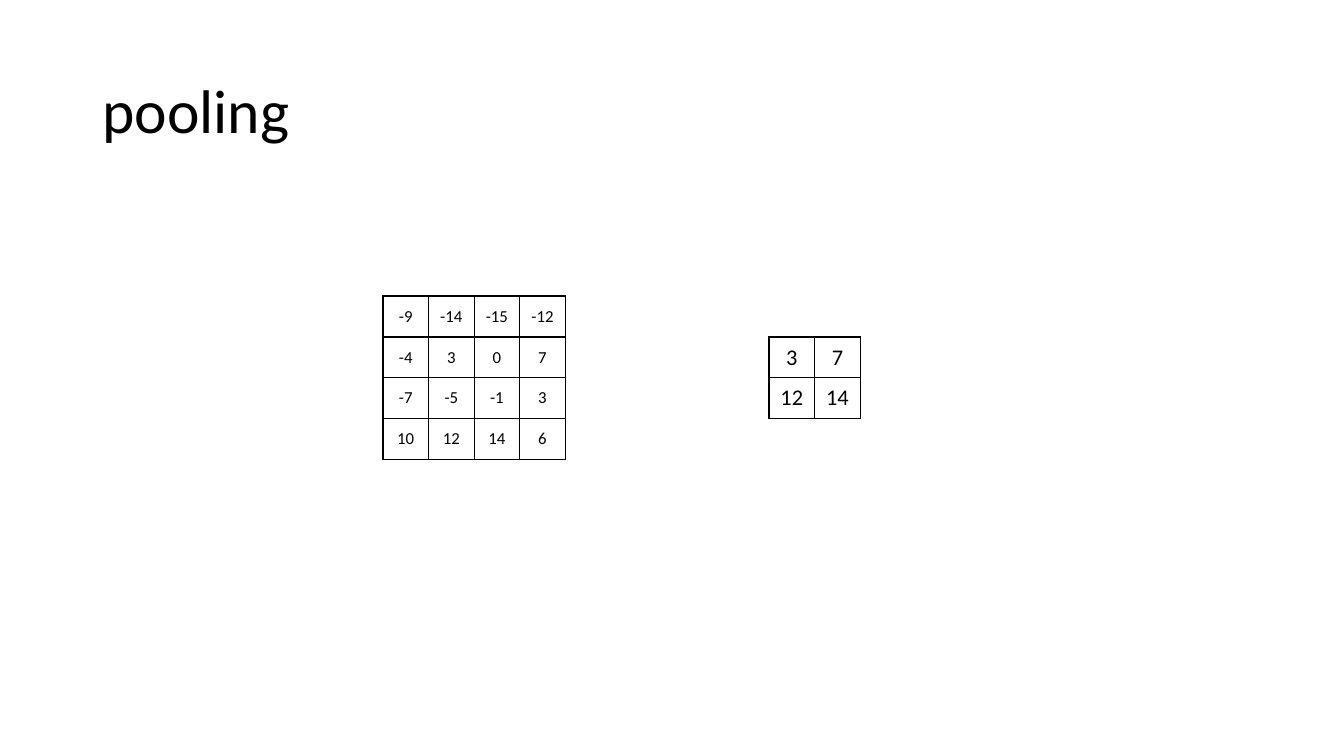
from dataclasses import dataclass

import lxml.etree
import pptx
import pptx.dml.color
import pptx.enum.text
import pptx.oxml.ns
import pptx.slide
import pptx.table
import pptx.text.text
import pptx.util

Cm = pptx.util.Cm
Pt = pptx.util.Pt
HUES = {"ink": "000000"}
FACE = "Calibri"
CELL_W, CELL_H = 1.15, 1.03
MID = 9.52


@dataclass(frozen=True)
class Grid:
    left: float
    size: int
    rows: tuple[tuple[int, ...], ...]


GRIDS = (
    Grid(9.65, 12, (
        (-9, -14, -15, -12),
        (-4, 3, 0, 7),
        (-7, -5, -1, 3),
        (10, 12, 14, 6),
    )),
    Grid(19.38, 16, ((3, 7), (12, 14))),
)


def style_text(para: pptx.text.text._Paragraph, size: int) -> None:
    for run in para.runs:
        run.font.name = FACE
        run.font.size = Pt(size)
        run.font.color.rgb = pptx.dml.color.RGBColor.from_string(HUES["ink"])


def add_edges(cell: pptx.table._Cell) -> None:
    props = cell._tc.get_or_add_tcPr()
    qn = pptx.oxml.ns.qn
    for side in ("lnL", "lnR", "lnT", "lnB"):
        edge = lxml.etree.SubElement(props, qn(f"a:{side}"), w=str(Pt(1)))
        fill = lxml.etree.SubElement(edge, qn("a:solidFill"))
        lxml.etree.SubElement(fill, qn("a:srgbClr"), val=HUES["ink"])


def fill_cell(cell: pptx.table._Cell, value: int, size: int) -> None:
    add_edges(cell)
    cell.fill.background()
    cell.margin_left = cell.margin_right = Cm(0.1)
    cell.vertical_anchor = pptx.enum.text.MSO_ANCHOR.MIDDLE
    cell.text_frame.text = str(value)
    para = cell.text_frame.paragraphs[0]
    para.alignment = pptx.enum.text.PP_ALIGN.CENTER
    style_text(para, size)


def draw_grid(slide: pptx.slide.Slide, grid: Grid) -> None:
    """Add a number table centred on the shared middle line."""
    count, width = len(grid.rows), len(grid.rows[0])
    high = count * CELL_H
    frame = slide.shapes.add_table(
        count, width, Cm(grid.left), Cm(MID - high / 2),
        Cm(width * CELL_W), Cm(high))
    table = frame.table
    table.first_row = table.horz_banding = False
    for col in table.columns:
        col.width = Cm(CELL_W)
    for r, row in enumerate(grid.rows):
        table.rows[r].height = Cm(CELL_H)
        for c, value in enumerate(row):
            fill_cell(table.cell(r, c), value, grid.size)


def draw_title(slide: pptx.slide.Slide, words: str) -> None:
    title = slide.shapes.title
    title.left, title.top = Cm(2.33), Cm(1.01)
    title.width, title.height = Cm(29.21), Cm(3.68)
    title.text_frame.text = words
    title.text_frame.vertical_anchor = pptx.enum.text.MSO_ANCHOR.MIDDLE
    para = title.text_frame.paragraphs[0]
    para.alignment = pptx.enum.text.PP_ALIGN.LEFT
    para.line_spacing = 0.9
    style_text(para, 44)


def main() -> None:
    deck = pptx.Presentation()
    deck.slide_width, deck.slide_height = Cm(33.87), Cm(19.05)
    slide = deck.slides.add_slide(deck.slide_layouts.get_by_name("Title Only"))
    draw_title(slide, "pooling")
    for grid in GRIDS:
        draw_grid(slide, grid)
    deck.save("out.pptx")


if __name__ == "__main__":
    main()
